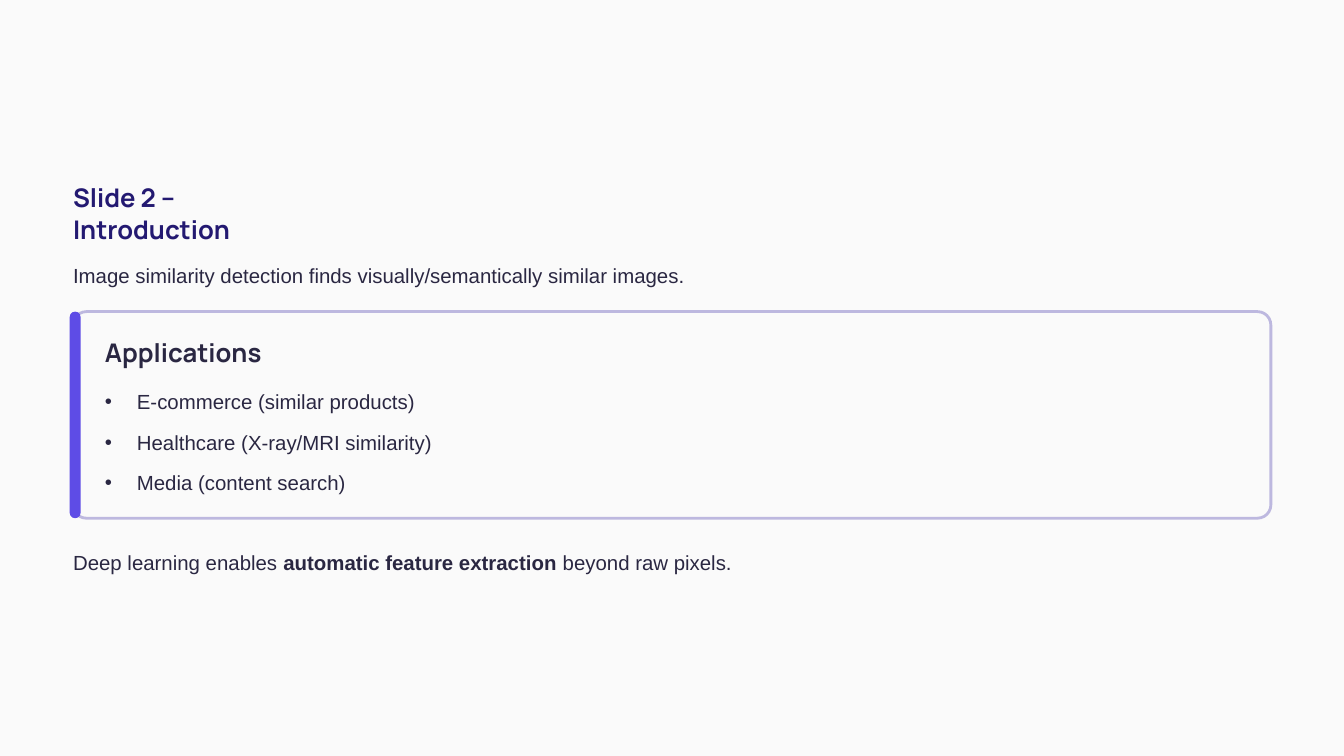
from lxml.etree import SubElement
from pptx import Presentation
from pptx.dml.color import RGBColor
from pptx.enum.shapes import MSO_SHAPE as Shape
from pptx.enum.text import MSO_ANCHOR as Anchor
from pptx.oxml.ns import qn
from pptx.util import Inches, Pt

SLIDE_W, SLIDE_H = 16, 9
MARGIN = 0.87
CONTENT_W = SLIDE_W - 2 * MARGIN
CARD_TOP, CARD_H = 3.71, 2.46
CARD_PAD = 0.38
CARD_LEFT = MARGIN + CARD_PAD
CARD_TEXT_W = 13.6
HEADING_W, HEADING_H = 3.1, 0.39
LINE_H, LIST_H = 0.4, 1.37
INK, TITLE_INK, PAPER = "2A2742", "231971", "FAFAFA"
CARD_EDGE, ACCENT = "BDB8DF", "5E4CE6"
HEADING = dict(font="Manrope", size=22, bold=True, leading=27.5)


def rgb(value):
    return RGBColor.from_string(value)


def box(left, top, width, height):
    return [Inches(length) for length in (left, top, width, height)]


def add_bullet(paragraph, indent):
    props = paragraph._p.get_or_add_pPr()
    props.set("marL", str(Inches(indent)))
    props.set("indent", str(-Inches(indent)))
    SubElement(props, qn("a:buFont")).set("typeface", "Arial")
    SubElement(props, qn("a:buChar")).set("char", "•")


def add_text(slide, area, paragraphs, font="Arial", size=17.5, color=INK,
             bold=False, leading=28.5, gap=0, bullet_indent=None):
    """Each paragraph is a list of runs; every second run has its weight switched."""
    frame = slide.shapes.add_textbox(*box(*area)).text_frame
    frame.margin_left = frame.margin_right = 0
    frame.margin_top = frame.margin_bottom = 0
    frame.vertical_anchor = Anchor.TOP
    frame.word_wrap = False
    for index, runs in enumerate(paragraphs):
        paragraph = frame.add_paragraph() if index else frame.paragraphs[0]
        paragraph.line_spacing = Pt(leading)
        if index:
            paragraph.space_before = Pt(gap)
        if bullet_indent:
            add_bullet(paragraph, bullet_indent)
        for position, text in enumerate(runs):
            run = paragraph.add_run()
            run.text = text
            run.font.name = font
            run.font.size = Pt(size)
            run.font.bold = bold != (position % 2 == 1)
            run.font.color.rgb = rgb(color)


def add_panel(slide, area, rounding, fill, edge=None):
    panel = slide.shapes.add_shape(Shape.ROUNDED_RECTANGLE, *box(*area))
    panel.shadow.inherit = False
    panel.adjustments[0] = rounding
    panel.fill.solid()
    panel.fill.fore_color.rgb = rgb(fill)
    if edge:
        panel.line.color.rgb = rgb(edge)
        panel.line.width = Pt(2.4)
    else:
        panel.line.fill.background()


def add_applications_card(slide):
    add_panel(slide, (MARGIN, CARD_TOP, CONTENT_W, CARD_H), 0.065, PAPER, CARD_EDGE)
    add_panel(slide, (MARGIN - 0.04, CARD_TOP, 0.13, CARD_H), 0.5, ACCENT)
    add_text(slide, (CARD_LEFT, CARD_TOP + 0.28, HEADING_W, HEADING_H),
             [["Applications"]], **HEADING)
    applications = ["E-commerce (similar products)",
                    "Healthcare (X-ray/MRI similarity)",
                    "Media (content search)"]
    add_text(slide, (CARD_LEFT, CARD_TOP + 0.82, CARD_TEXT_W, LIST_H),
             [[name] for name in applications], gap=6.3, bullet_indent=CARD_PAD)


def main():
    deck = Presentation()
    deck.slide_width, deck.slide_height = Inches(SLIDE_W), Inches(SLIDE_H)
    slide = deck.slides.add_slide(deck.slide_layouts[6])
    slide.background.fill.solid()
    slide.background.fill.fore_color.rgb = rgb(PAPER)

    add_text(slide, (MARGIN, 2.15, HEADING_W, HEADING_H),
             [["Slide 2 – Introduction"]], color=TITLE_INK, **HEADING)
    add_text(slide, (MARGIN, 3.03, CONTENT_W, LINE_H),
             [["Image similarity detection finds visually/semantically similar images."]])
    add_applications_card(slide)
    add_text(slide, (MARGIN, 6.45, CONTENT_W, LINE_H),
             [["Deep learning enables ", "automatic feature extraction",
               " beyond raw pixels."]])
    deck.save("out.pptx")


if __name__ == "__main__":
    main()
